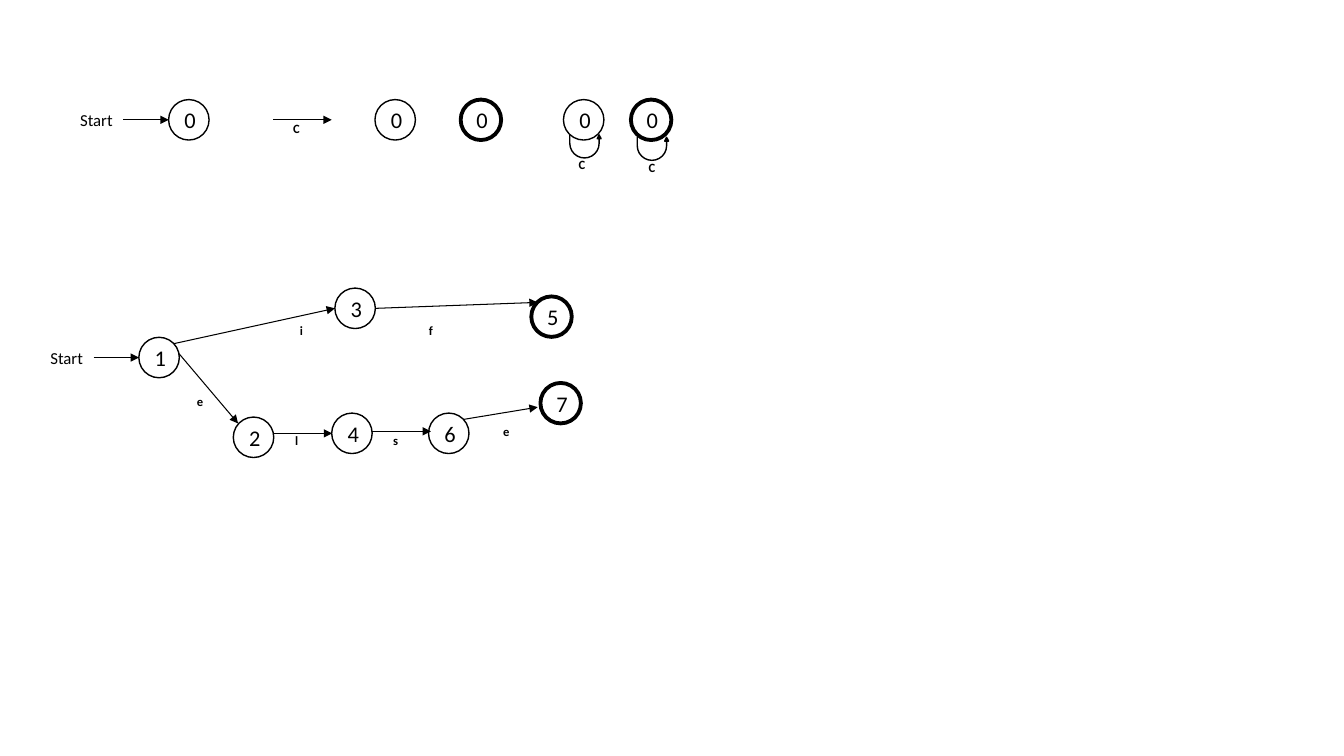
from dataclasses import dataclass

from lxml import etree
from pptx import Presentation
from pptx.dml.color import RGBColor
from pptx.enum.shapes import MSO_CONNECTOR, MSO_SHAPE
from pptx.enum.text import MSO_ANCHOR, PP_ALIGN
from pptx.oxml.ns import qn
from pptx.util import Cm, Pt

ELLIPSE = MSO_SHAPE.OVAL
U_TURN = MSO_SHAPE.U_TURN_ARROW
STRAIGHT = MSO_CONNECTOR.STRAIGHT
MIDDLE = MSO_ANCHOR.MIDDLE
CENTER = PP_ALIGN.CENTER


@dataclass(frozen=True)
class Theme:
    """Colours, type sizes and line widths."""
    ink: RGBColor = RGBColor(0, 0, 0)
    font: str = "Calibri"
    state_size: int = 16
    start_size: int = 12
    symbol_size: int = 9
    arrow_line: float = 0.75
    state_line: float = 1
    accepting_line: float = 2.75


@dataclass(frozen=True)
class Box:
    """Place of a region on the slide, in centimetres."""
    left: float
    top: float


THEME = Theme()
DIAMETER = 1.02
RADIUS = DIAMETER / 2
LOOP_ADJUSTMENTS = (0, 0.085, 0.164, 0.717, 1)


def write(frame, text, size, bold=False):
    """Put one centred line of text into a frame."""
    frame.vertical_anchor = MIDDLE
    paragraph = frame.paragraphs[0]
    paragraph.text = text
    paragraph.alignment = CENTER
    font = paragraph.font
    font.name, font.size, font.bold = THEME.font, Pt(size), bold
    font.color.rgb = THEME.ink


def add_label(slide, x, y, text, size=THEME.symbol_size, width=0.41, height=0.64, bold=True):
    """Add a text box centred on a point."""
    label = slide.shapes.add_textbox(Cm(x - width / 2), Cm(y - height / 2), Cm(width), Cm(height))
    frame = label.text_frame
    frame.margin_left = frame.margin_right = 0
    frame.word_wrap = False
    write(frame, text, size, bold)


def add_arrow(slide, x1, y1, x2, y2):
    """Add a straight arrow between two points."""
    arrow = slide.shapes.add_connector(STRAIGHT, Cm(x1), Cm(y1), Cm(x2), Cm(y2))
    arrow.line.color.rgb = THEME.ink
    arrow.line.width = Pt(THEME.arrow_line)
    etree.SubElement(arrow.line._get_or_add_ln(), qn("a:tailEnd"), type="triangle")
    etree.SubElement(arrow.element.spPr, qn("a:effectLst"))


def add_state(slide, x, y, name, accepting=False):
    """Add a state circle centred on a point."""
    state = slide.shapes.add_shape(
        ELLIPSE, Cm(x - RADIUS), Cm(y - RADIUS), Cm(DIAMETER), Cm(DIAMETER))
    state.shadow.inherit = False
    state.fill.background()
    state.line.color.rgb = THEME.ink
    state.line.width = Pt(THEME.accepting_line if accepting else THEME.state_line)
    write(state.text_frame, name, THEME.state_size)


def add_start_state(slide, left, y, name):
    """Add the word Start, its arrow and the first state."""
    add_label(slide, left + 0.68, y, "Start", THEME.start_size, 1.36, 0.76, bold=False)
    add_arrow(slide, left + 1.36, y, left + 2.5, y)
    add_state(slide, left + 2.5 + RADIUS, y, name)


def add_looping_state(slide, x, y, name, symbol, accepting):
    """Add a state with an arrow that returns to it."""
    add_state(slide, x, y, name, accepting)
    drop = 0.06 if accepting else 0
    loop = slide.shapes.add_shape(
        U_TURN, Cm(x - 0.35), Cm(y + 0.38 + drop), Cm(0.79), Cm(0.58))
    for index, value in enumerate(LOOP_ADJUSTMENTS):
        loop.adjustments[index] = value
    loop.rotation = 180
    loop.element.spPr.find(qn("a:xfrm")).set("flipH", "1")
    loop.shadow.inherit = False
    loop.fill.solid()
    loop.fill.fore_color.rgb = THEME.ink
    loop.line.color.rgb = THEME.ink
    loop.line.width = Pt(THEME.state_line)
    add_label(slide, x - 0.04 + drop, y + 1.13 + drop, symbol)


def add_notation(slide, box):
    """Draw the row of basic automaton symbols."""
    y = box.top + RADIUS
    add_start_state(slide, box.left, y, "0")
    add_arrow(slide, box.left + 5.13, y, box.left + 6.61, y)
    add_label(slide, box.left + 5.72, y + 0.22, "C")
    for x, accepting in ((8.21, False), (10.37, True)):
        add_state(slide, box.left + x, y, "0", accepting)
    for x, accepting in ((12.96, False), (14.66, True)):
        add_looping_state(slide, box.left + x, y, "0", "C", accepting)


def add_keyword_automaton(slide, box):
    """Draw the automaton that accepts two keywords."""
    states = (
        ("2", 5.39, 3.76, False),
        ("3", 7.95, 0.51, False),
        ("4", 7.87, 3.66, False),
        ("5", 12.9, 0.72, True),
        ("6", 10.31, 3.66, False),
        ("7", 13.13, 2.9, True),
    )
    transitions = (
        ("e", (3.51, 1.65), (5, 3.41), (4.04, 2.86)),
        ("i", (3.38, 1.4), (7.44, 0.51), (6.6, 1.08)),
        ("l", (5.89, 3.66), (7.37, 3.66), (6.48, 3.85)),
        ("s", (8.38, 3.61), (9.86, 3.61), (8.97, 3.83)),
        ("e", (10.67, 3.31), (12.55, 3), (11.76, 3.62)),
        ("f", (8.46, 0.51), (12.55, 0.36), (9.86, 1.06)),
    )
    add_start_state(slide, box.left, box.top + 1.75, "1")
    for name, x, y, accepting in states:
        add_state(slide, box.left + x, box.top + y, name, accepting)
    for symbol, *points in transitions:
        start, end, label = [(box.left + x, box.top + y) for x, y in points]
        add_arrow(slide, *start, *end)
        add_label(slide, *label, symbol)


def main():
    """Build the slide and save it."""
    presentation = Presentation()
    presentation.slide_width, presentation.slide_height = Cm(33.87), Cm(19.05)
    slide = presentation.slides.add_slide(presentation.slide_layouts[6])
    add_notation(slide, Box(1.75, 2.51))
    add_keyword_automaton(slide, Box(1, 7.26))
    presentation.save("out.pptx")


if __name__ == "__main__":
    main()
